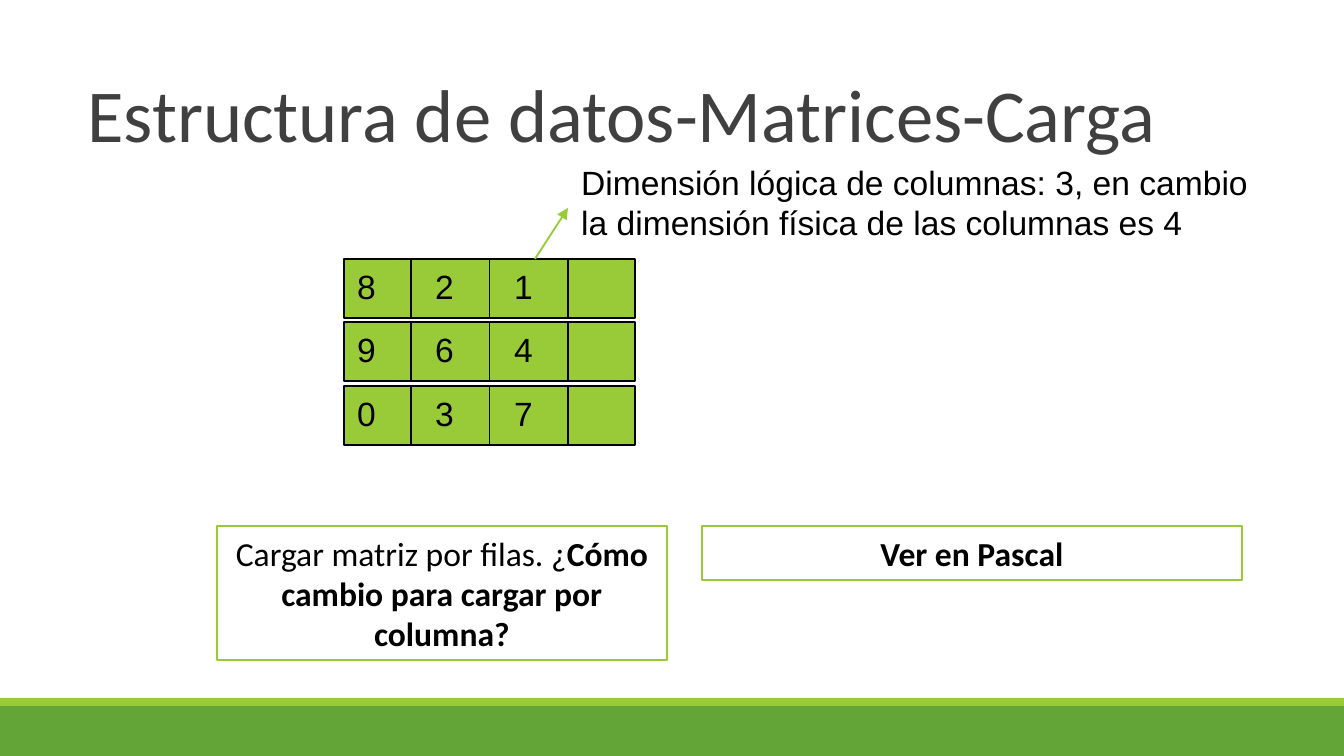
from lxml.etree import SubElement
from pptx import Presentation
from pptx.dml.color import RGBColor
from pptx.enum.shapes import MSO_CONNECTOR, MSO_SHAPE
from pptx.enum.text import MSO_ANCHOR, MSO_AUTO_SIZE, PP_ALIGN
from pptx.oxml.ns import qn
from pptx.util import Inches, Pt

SCALE = Inches(10) / 1344
LIME = "99CB38"
GREEN = "63A537"
BLACK = "000000"
WHITE = "FFFFFF"
GRAY = "404040"


def px(length):
    return round(length * SCALE)


def color(value):
    return RGBColor.from_string(value)


def set_attributes(target, values):
    for name, value in values.items():
        setattr(target, name, value)


class SlideBuilder:
    body_size = Pt(18)
    title_size = Pt(40)
    space = Pt(11.2)

    def __init__(self, slide):
        self.slide = slide

    def fill_text(self, frame, runs, font, size, text_color, frame_format, paragraph_format):
        set_attributes(frame, {"word_wrap": True, **frame_format})
        paragraph = frame.paragraphs[0]
        set_attributes(paragraph, paragraph_format)
        for text, bold in runs:
            run = paragraph.add_run()
            run.text = text
            set_attributes(run.font, {"name": font, "size": size, "bold": bold})
            run.font.color.rgb = color(text_color)

    def title(self, text, left, top, width, height):
        shape = self.slide.shapes.title
        set_attributes(shape, {"left": px(left), "top": px(top),
                               "width": px(width), "height": px(height)})
        self.fill_text(shape.text_frame, [(text, False)], "Calibri", self.title_size, GRAY,
                       {"vertical_anchor": MSO_ANCHOR.BOTTOM, "auto_size": MSO_AUTO_SIZE.NONE},
                       {"alignment": PP_ALIGN.LEFT, "line_spacing": 0.85})

    def rectangle(self, left, top, width, height, fill, line=None, weight=0.75):
        shape = self.slide.shapes.add_shape(
            MSO_SHAPE.RECTANGLE, px(left), px(top), px(width), px(height))
        shape.shadow.inherit = False
        shape.fill.solid()
        shape.fill.fore_color.rgb = color(fill)
        if line:
            shape.line.color.rgb = color(line)
            shape.line.width = Pt(weight)
        else:
            shape.line.fill.background()
        return shape

    def callout(self, runs, left, top, width, height, space=0):
        shape = self.rectangle(left, top, width, height, WHITE, LIME, 1.25)
        self.fill_text(shape.text_frame, runs, "Calibri", self.body_size, BLACK,
                       {"vertical_anchor": MSO_ANCHOR.TOP,
                        "auto_size": MSO_AUTO_SIZE.SHAPE_TO_FIT_TEXT},
                       {"alignment": PP_ALIGN.CENTER, "space_before": space})

    def text(self, text, left, top, width, height, space=0):
        box = self.slide.shapes.add_textbox(px(left), px(top), px(width), px(height))
        self.fill_text(box.text_frame, [(text, False)], "Arial", self.body_size, BLACK,
                       {"auto_size": MSO_AUTO_SIZE.SHAPE_TO_FIT_TEXT},
                       {"space_before": space})

    def line(self, start, end, line_color, weight, arrow=False):
        connector = self.slide.shapes.add_connector(
            MSO_CONNECTOR.STRAIGHT, *map(px, start + end))
        connector.line.color.rgb = color(line_color)
        connector.line.width = Pt(weight)
        properties = connector._element.spPr
        if arrow:
            SubElement(properties.find(qn("a:ln")), qn("a:tailEnd"), type="triangle")
        SubElement(properties, qn("a:effectLst"))
        return connector

    def matrix(self, rows, left, top, width, height):
        for row, values in enumerate(rows):
            row_top = top + row * 127 // 2
            rectangle = self.rectangle(left, row_top, width, height, LIME, BLACK)
            for column, value in enumerate(values):
                offset = column * 157 // 2
                x = left + 67 + offset
                divider = self.line((x, row_top), (x, row_top + height), BLACK, 0.75)
                if column == 1:
                    divider.begin_connect(rectangle, 0)
                    divider.end_connect(rectangle, 2)
                self.text(value, left + offset, row_top, 56, 54, self.space)


def main():
    presentation = Presentation()
    set_attributes(presentation, {"slide_width": px(1344), "slide_height": px(756)})
    slide = presentation.slides.add_slide(presentation.slide_layouts[5])
    builder = SlideBuilder(slide)
    builder.rectangle(0, 706, 1344, 50, GREEN)
    builder.rectangle(0, 698, 1344, 8, LIME)
    builder.matrix(["821", "964", "037"], 344, 259, 291, 59)
    builder.callout([("Cargar matriz por filas. ¿", False),
                     ("Cómo cambio para cargar por columna?", True)],
                    217, 526, 450, 134, builder.space)
    builder.title("Estructura de datos-Matrices-Carga", 74, 17, 1254, 148)
    builder.callout([("Ver en Pascal", True)], 702, 526, 540, 54)
    builder.line((535, 259), (568, 208), LIME, 1, arrow=True)
    builder.text("Dimensión lógica de columnas: 3, en cambio la dimensión física "
                 "de las columnas es 4", 568, 155, 728, 94)
    presentation.save("out.pptx")


if __name__ == "__main__":
    main()
